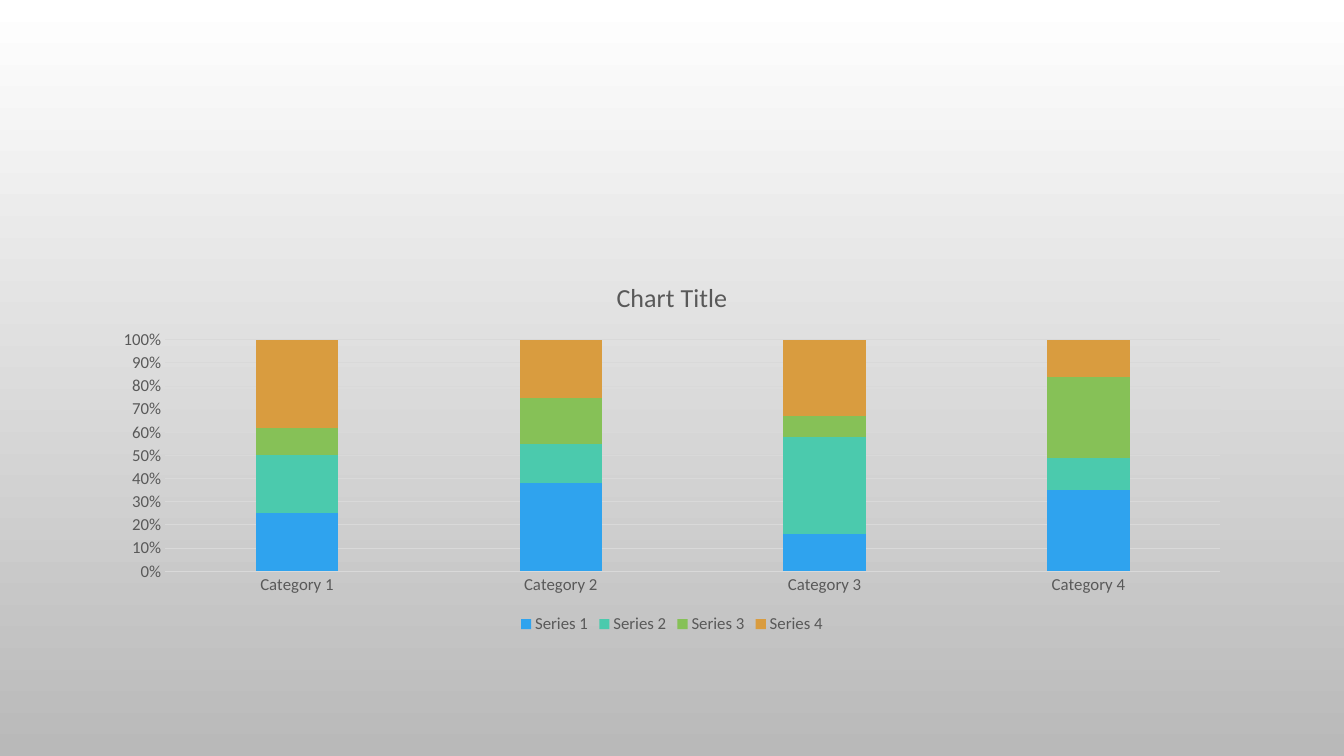
from typing import NamedTuple

from pptx import Presentation
from pptx.chart.chart import Chart
from pptx.chart.data import CategoryChartData
from pptx.dml.color import RGBColor
from pptx.enum.chart import XL_CHART_TYPE, XL_LEGEND_POSITION, XL_TICK_MARK
from pptx.slide import Slide
from pptx.text.text import Font
from pptx.util import Pt

STACKED = XL_CHART_TYPE.COLUMN_STACKED_100
BOTTOM = XL_LEGEND_POSITION.BOTTOM
NO_TICK = XL_TICK_MARK.NONE

WHITE = RGBColor(0xFF, 0xFF, 0xFF)
SILVER = RGBColor(0xB9, 0xB9, 0xB9)
PALE = RGBColor(0xD9, 0xD9, 0xD9)
GREY = RGBColor(0x59, 0x59, 0x59)
BLUE = RGBColor(0x2F, 0xA3, 0xEE)
TEAL = RGBColor(0x4B, 0xCA, 0xAD)
GREEN = RGBColor(0x86, 0xC1, 0x57)
AMBER = RGBColor(0xD9, 0x9C, 0x3F)


class Series(NamedTuple):
    name: str
    values: tuple[int, ...]
    color: RGBColor


GROUPS = [f"Category {n}" for n in range(1, 5)]
SERIES = [
    Series("Series 1", (25, 38, 16, 35), BLUE),
    Series("Series 2", (25, 17, 42, 14), TEAL),
    Series("Series 3", (12, 20, 9, 35), GREEN),
    Series("Series 4", (38, 25, 33, 16), AMBER),
]


def set_font(font: Font, size: float) -> None:
    style = {"name": "Calibri", "size": Pt(size), "bold": False}
    for key, value in style.items():
        setattr(font, key, value)
    font.color.rgb = GREY


def paint_back(slide: Slide) -> None:
    fill = slide.background.fill
    fill.gradient()
    fill.gradient_angle = 270
    for stop, color in zip(fill.gradient_stops, (WHITE, SILVER)):
        stop.color.rgb = color


def add_columns(slide: Slide) -> Chart:
    data = CategoryChartData()
    data.categories = GROUPS
    for item in SERIES:
        data.add_series(item.name, item.values)
    frame = slide.shapes.add_chart(
        STACKED, Pt(72), Pt(186.5), Pt(816), Pt(269.3), data)
    chart = frame.chart
    plot = chart.plots[0]
    plot.gap_width, plot.overlap = 219, 100
    plot.vary_by_categories = False
    for series, item in zip(plot.series, SERIES):
        series.format.fill.solid()
        series.format.fill.fore_color.rgb = item.color
    return chart


def style_axes(chart: Chart) -> None:
    groups, scale = chart.category_axis, chart.value_axis
    for axis in (groups, scale):
        axis.major_tick_mark = axis.minor_tick_mark = NO_TICK
        set_font(axis.tick_labels.font, 12)
    scale.has_major_gridlines = True
    for line in (groups.format.line, scale.major_gridlines.format.line):
        line.color.rgb = PALE
        line.width = Pt(0.75)
    scale.format.line.fill.background()
    scale.tick_labels.number_format = "0%"
    scale.tick_labels.number_format_is_linked = False


def style_text(chart: Chart) -> None:
    set_font(chart.font, 12)
    # Title
    chart.has_title = True
    title = chart.chart_title
    title.include_in_layout = False
    title.text_frame.text = "Chart Title"
    set_font(title.text_frame.paragraphs[0].runs[0].font, 18.6)
    # Legend
    chart.has_legend = True
    chart.legend.position = BOTTOM
    chart.legend.include_in_layout = False
    set_font(chart.legend.font, 12)


def main() -> None:
    deck = Presentation()
    deck.slide_width, deck.slide_height = Pt(960), Pt(540)
    slide = deck.slides.add_slide(deck.slide_layouts[6])
    paint_back(slide)
    chart = add_columns(slide)
    style_axes(chart)
    style_text(chart)
    deck.save("out.pptx")


if __name__ == "__main__":
    main()
